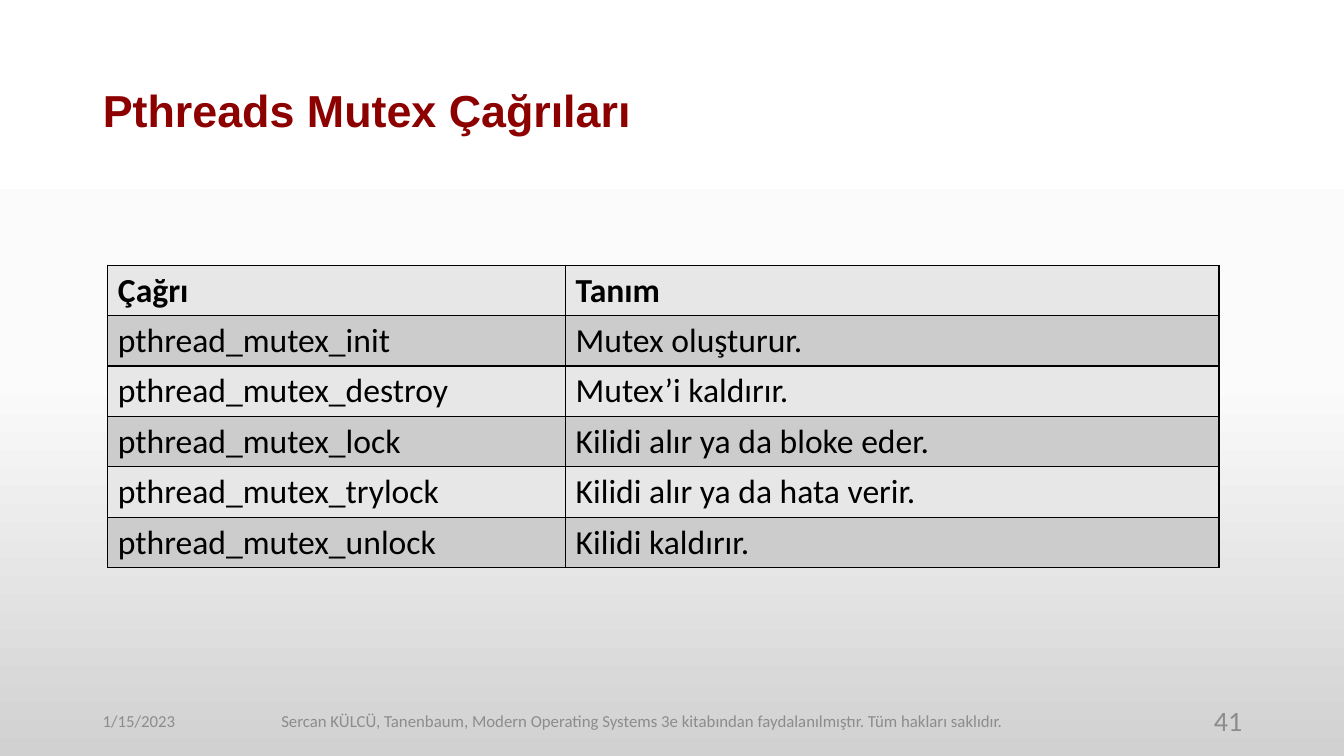
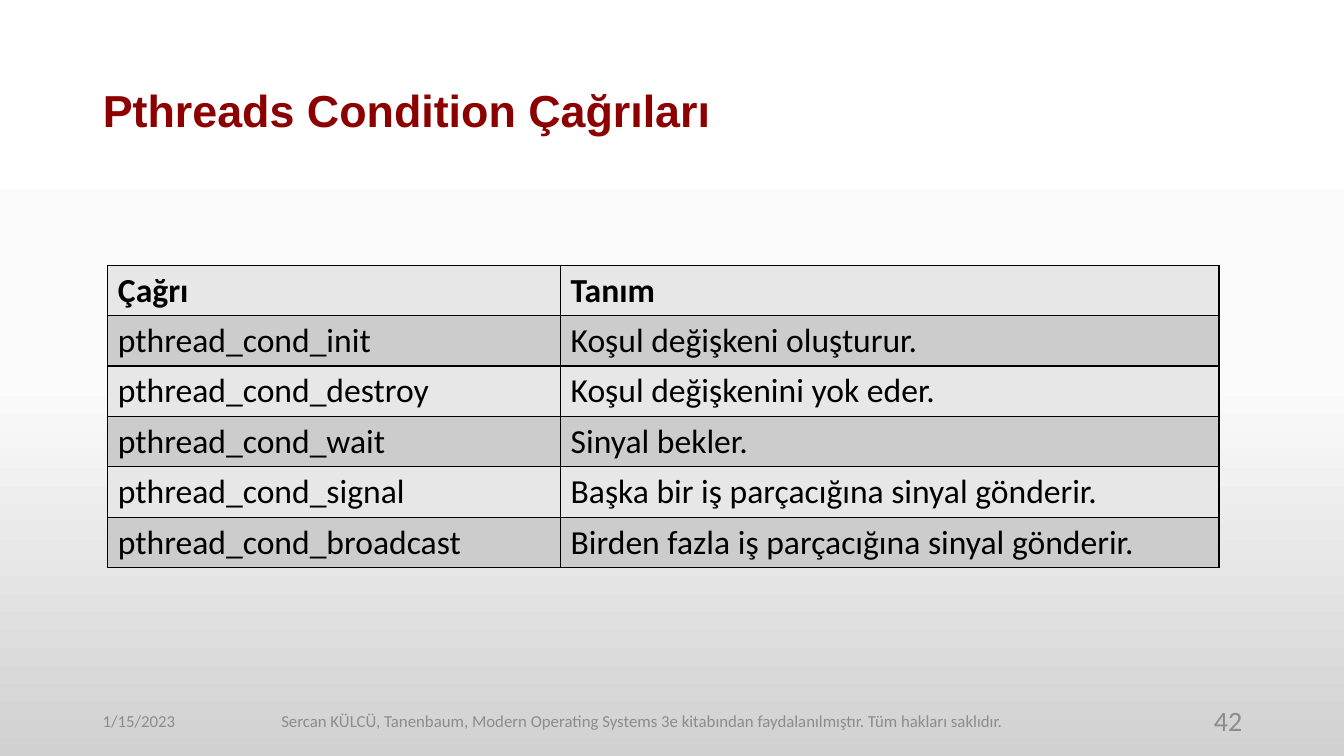
from lxml.etree import SubElement
from pptx import Presentation
from pptx.dml.color import RGBColor
from pptx.enum.text import MSO_ANCHOR, PP_ALIGN
from pptx.oxml.ns import qn
from pptx.util import Inches, Pt

COLORS = {"title": "8C0000", "footer": "8C8C8C", "text": "000000",
          "border": "000000", "light": "E7E7E7", "dark": "CCCCCC"}
BACKDROP = [(0, "FFFFFF"), (50, "FBFBFB"), (100, "D1D1D1")]

DATE = "1/15/2023"
CREDIT = ("Sercan KÜLCÜ, Tanenbaum, Modern Operating Systems 3e kitabından "
          "faydalanılmıştır. Tüm hakları saklıdır.")
HEADER = ("Çağrı", "Tanım")
FIRST_PAGE = 41
SLIDES = [
    {"title": "Pthreads Mutex Çağrıları",
     "split": 4.54,
     "calls": [
         ("pthread_mutex_init", "Mutex oluşturur."),
         ("pthread_mutex_destroy", "Mutex’i kaldırır."),
         ("pthread_mutex_lock", "Kilidi alır ya da bloke eder."),
         ("pthread_mutex_trylock", "Kilidi alır ya da hata verir."),
         ("pthread_mutex_unlock", "Kilidi kaldırır.")]},
    {"title": "Pthreads Condition Çağrıları",
     "split": 4.49,
     "calls": [
         ("pthread_cond_init", "Koşul değişkeni oluşturur."),
         ("pthread_cond_destroy", "Koşul değişkenini yok eder."),
         ("pthread_cond_wait", "Sinyal bekler."),
         ("pthread_cond_signal", "Başka bir iş parçacığına sinyal gönderir."),
         ("pthread_cond_broadcast",
          "Birden fazla iş parçacığına sinyal gönderir.")]},
]

TABLE_LEFT, TABLE_TOP, TABLE_WIDTH, ROW_HEIGHT = 1.07, 2.63, 11.02, 0.5
FOOTER_TOP, FOOTER_HEIGHT = 6.95, 0.4


def style(par, size, color, name="Calibri", bold=False, align=PP_ALIGN.LEFT):
    par.alignment = align
    font = par.font
    font.name, font.size, font.bold = name, Pt(size), bold
    font.color.rgb = RGBColor.from_string(COLORS[color])


def set_backdrop(master):
    """Give the master a vertical gradient with any number of stops."""
    fill = master.background.fill
    fill.gradient()
    fill.gradient_angle = 270
    stops = master.element.find(".//" + qn("a:gsLst"))
    stops.clear()
    for pos, color in BACKDROP:
        stop = SubElement(stops, qn("a:gs"), pos=str(pos * 1000))
        SubElement(stop, qn("a:srgbClr"), val=color)


def add_title(slide, text):
    title = slide.shapes.title
    title.left, title.top = Inches(0.92), Inches(0.4)
    title.width, title.height = Inches(11.5), Inches(1.45)
    frame = title.text_frame
    frame.text = text
    frame.vertical_anchor = MSO_ANCHOR.MIDDLE
    par = frame.paragraphs[0]
    par.line_spacing = 0.9
    style(par, 32, "title", "Arial", True)


def add_footer(slide, page):
    parts = [(DATE, 0.92, 3, 12, PP_ALIGN.LEFT),
             (CREDIT, 2.58, 7.58, 12, PP_ALIGN.CENTER),
             (str(page), 9.42, 3, 20, PP_ALIGN.RIGHT)]
    for text, left, width, size, align in parts:
        box = slide.shapes.add_textbox(Inches(left), Inches(FOOTER_TOP),
                                       Inches(width), Inches(FOOTER_HEIGHT))
        frame = box.text_frame
        frame.word_wrap = True
        frame.vertical_anchor = MSO_ANCHOR.MIDDLE
        frame.text = text
        style(frame.paragraphs[0], size, "footer", align=align)


def set_borders(cell):
    props = cell._tc.get_or_add_tcPr()
    for i, side in enumerate(("lnL", "lnR", "lnT", "lnB")):
        line = SubElement(props, qn("a:" + side), w=str(Pt(1)))
        fill = SubElement(line, qn("a:solidFill"))
        SubElement(fill, qn("a:srgbClr"), val=COLORS["border"])
        props.insert(i, line)


def add_calls(slide, calls, split):
    rows = [HEADER, *calls]
    table = slide.shapes.add_table(
        len(rows), len(HEADER), Inches(TABLE_LEFT), Inches(TABLE_TOP),
        Inches(TABLE_WIDTH), Inches(ROW_HEIGHT * len(rows))).table
    for column, width in zip(table.columns, (split, TABLE_WIDTH - split)):
        column.width = Inches(width)
    for r, row in enumerate(rows):
        shade = COLORS["dark" if r % 2 else "light"]
        for c, text in enumerate(row):
            cell = table.cell(r, c)
            cell.text = text
            cell.fill.solid()
            cell.fill.fore_color.rgb = RGBColor.from_string(shade)
            set_borders(cell)
            style(cell.text_frame.paragraphs[0], 24, "text", bold=r == 0)


def main():
    prs = Presentation()
    prs.slide_width, prs.slide_height = Inches(13.33), Inches(7.5)
    set_backdrop(prs.slide_master)
    for page, data in enumerate(SLIDES, FIRST_PAGE):
        slide = prs.slides.add_slide(prs.slide_layouts[5])
        add_title(slide, data["title"])
        add_footer(slide, page)
        add_calls(slide, data["calls"], data["split"])
    prs.save("out.pptx")


if __name__ == "__main__":
    main()
